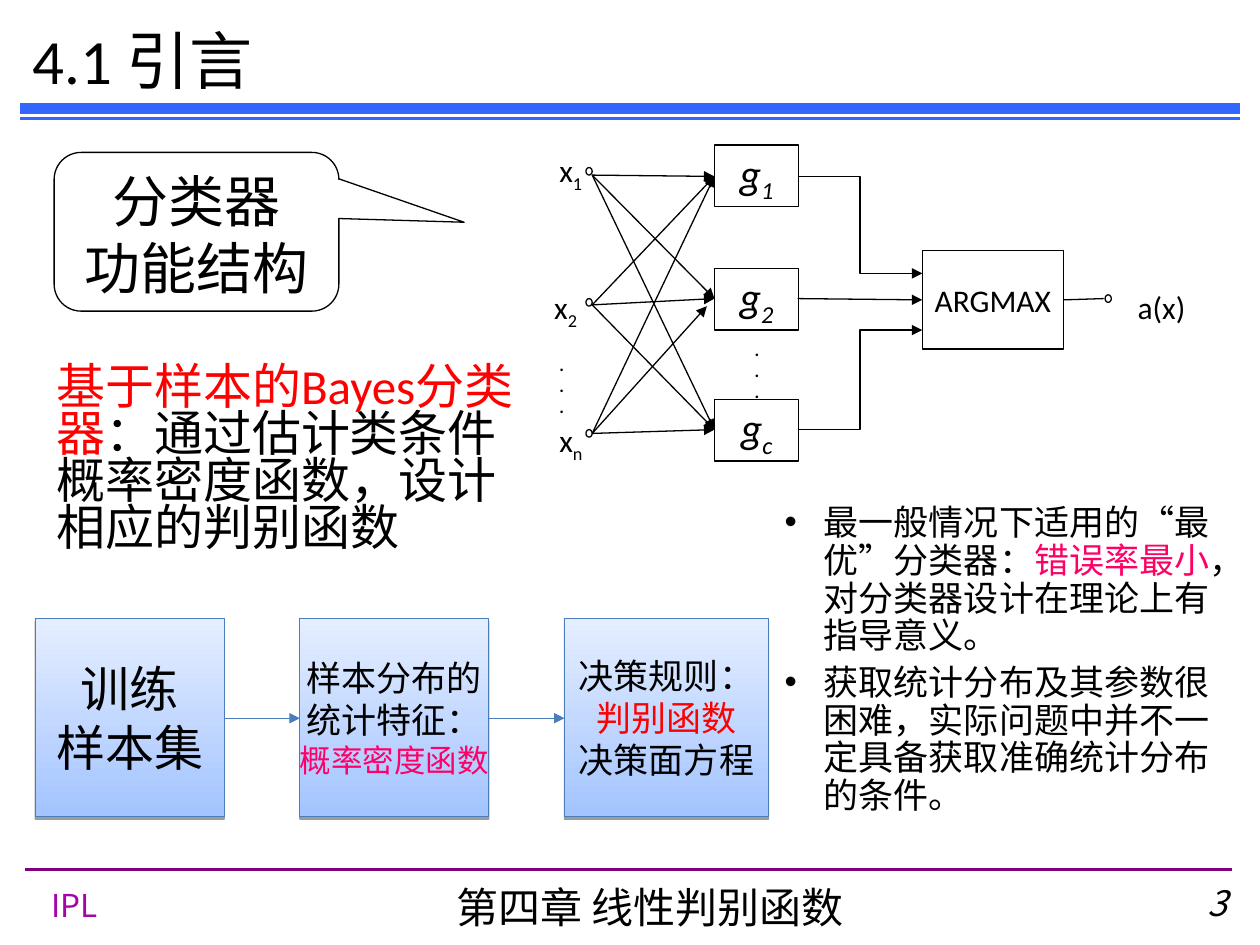
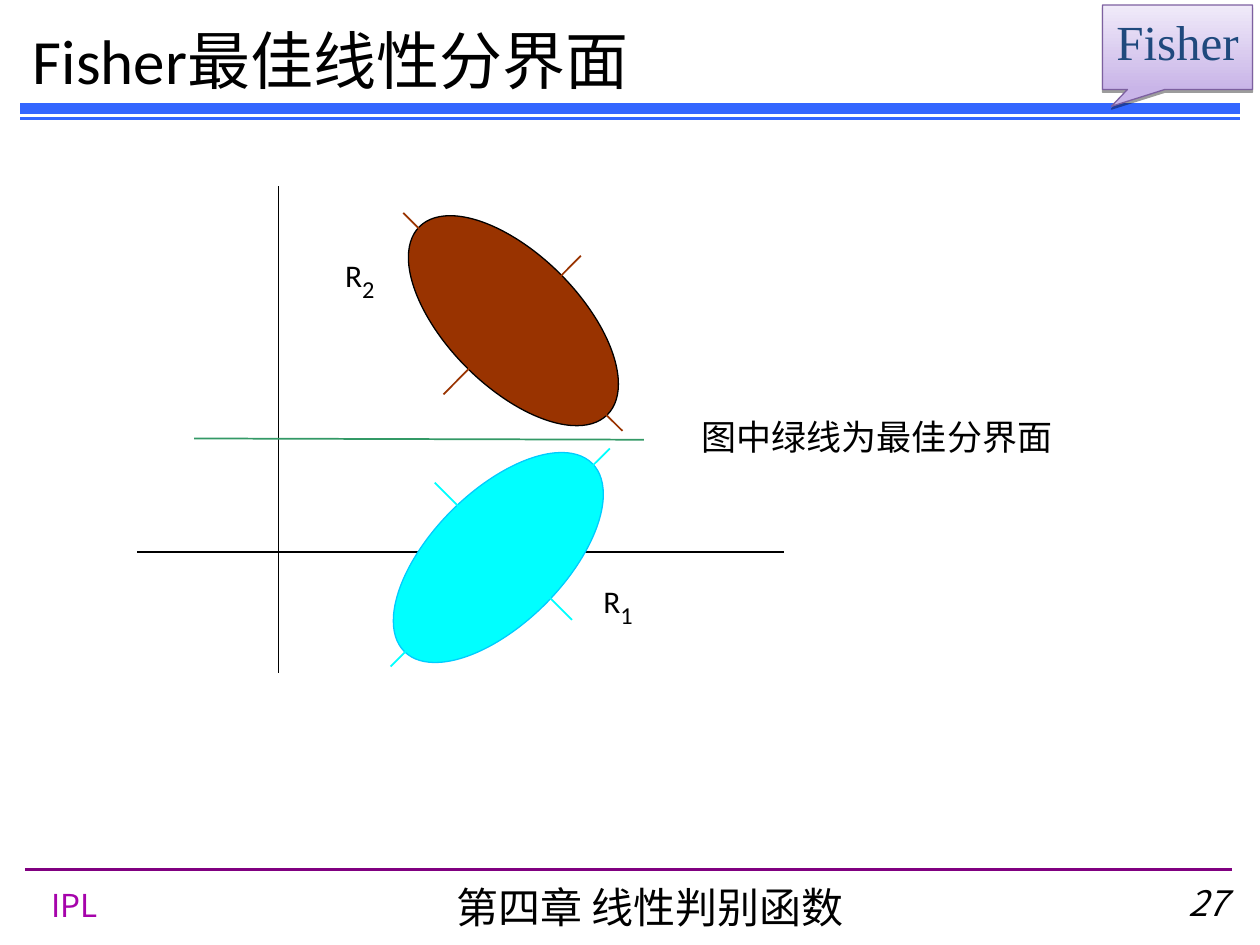
from lxml import etree
from pptx import Presentation
from pptx.dml.color import RGBColor
from pptx.enum.shapes import MSO_CONNECTOR, MSO_SHAPE
from pptx.enum.text import MSO_ANCHOR, MSO_AUTO_SIZE, PP_ALIGN
from pptx.oxml.ns import qn
from pptx.util import Emu, Pt

PX = 9144
SLIDE_W, SLIDE_H = 1000, 750
TITLE_ONLY = 5

BLACK = RGBColor(0x00, 0x00, 0x00)
RED = RGBColor(0xFF, 0x00, 0x00)
PINK = RGBColor(0xFF, 0x00, 0x66)
BAND_BLUE = RGBColor(0x33, 0x66, 0xFF)
FOOTER_PURPLE = RGBColor(0x80, 0x00, 0x80)
LAB_PURPLE = RGBColor(0xA6, 0x03, 0xAB)
STEP_LINE = RGBColor(0x4A, 0x7E, 0xBB)
STEP_FILL = (RGBColor(0xA3, 0xC4, 0xFF), RGBColor(0xE5, 0xEE, 0xFF))
TAG_LINE = RGBColor(0x7D, 0x60, 0xA0)
TAG_FILL = (RGBColor(0xC9, 0xB5, 0xE8), RGBColor(0xF0, 0xEA, 0xF9))
NAVY = RGBColor(0x1F, 0x49, 0x7D)
CYAN = RGBColor(0x00, 0xFF, 0xFF)
CYAN_EDGE = RGBColor(0x00, 0xCC, 0xFF)
BROWN = RGBColor(0x99, 0x33, 0x00)
GREEN = RGBColor(0x33, 0x99, 0x66)

BODY_FONT = "Calibri"
FOOTER_FONT = "Noto Sans CJK SC"
QUOTE_FONT = "Arial"
TAG_FONT = "Times New Roman"

LEFT, CENTER, RIGHT = PP_ALIGN.LEFT, PP_ALIGN.CENTER, PP_ALIGN.RIGHT
TOP, MIDDLE = MSO_ANCHOR.TOP, MSO_ANCHOR.MIDDLE
STRAIGHT, ELBOW = MSO_CONNECTOR.STRAIGHT, MSO_CONNECTOR.ELBOW
RECT, OVAL = MSO_SHAPE.RECTANGLE, MSO_SHAPE.OVAL
ROUND_CALLOUT = MSO_SHAPE.ROUNDED_RECTANGULAR_CALLOUT
RECT_CALLOUT = MSO_SHAPE.RECTANGULAR_CALLOUT
NO_AUTOFIT = MSO_AUTO_SIZE.NONE


def px(*lengths):
    return [Emu(n * PX) for n in lengths]


def format_run(r, size, color=BLACK, font=BODY_FONT, bold=False, italic=False, sub=False):
    r.font.size = Pt(size)
    r.font.name = font
    r.font.bold = bold
    r.font.italic = italic
    r.font.color.rgb = color
    if sub:
        r._r.get_or_add_rPr().set("baseline", "-25000")


def write(tf, paragraphs, align=LEFT, anchor=TOP, wrap=True, **style):
    tf.auto_size = NO_AUTOFIT
    tf.word_wrap = wrap
    tf.vertical_anchor = anchor
    for i, pieces in enumerate(paragraphs):
        p = tf.add_paragraph() if i else tf.paragraphs[0]
        p.alignment = align
        for text, extra in pieces:
            for j, line in enumerate(text.split("\n")):
                if j:
                    p.add_line_break()
                if line:
                    r = p.add_run()
                    r.text = line
                    format_run(r, **{**style, **extra})


def plain(text):
    return [[(text, {})]]


def subscripted(letter, index, **extra):
    return [[(letter, {}), (index, {"sub": True, **extra})]]


def add_text(slide, box, paragraphs, **style):
    sp = slide.shapes.add_textbox(*px(*box))
    write(sp.text_frame, paragraphs, **style)
    return sp.text_frame


def add_title(slide, text, width):
    sp = slide.shapes.title
    sp.left, sp.top, sp.width, sp.height = px(16, 16, width, 62)
    write(sp.text_frame, plain(text), anchor=MIDDLE, size=36)


def add_line(slide, start, end, color=BLACK, width=0.75, arrow=False, kind=STRAIGHT):
    c = slide.shapes.add_connector(kind, *px(*start, *end))
    c.line.color.rgb = color
    c.line.width = Pt(width)
    if arrow:
        etree.SubElement(c.line._get_or_add_ln(), qn("a:tailEnd"), type="triangle")
    etree.SubElement(c._element.spPr, qn("a:effectLst"))


def add_shape(slide, kind, box, line=BLACK, fill=None, adjustments=(), rotation=0):
    sp = slide.shapes.add_shape(kind, *px(*box))
    sp.shadow.inherit = False
    sp.line.color.rgb = line
    sp.line.width = Pt(0.75)
    sp.rotation = rotation
    for i, value in enumerate(adjustments):
        sp.adjustments[i] = value
    if fill is None:
        sp.fill.background()
    else:
        sp.fill.solid()
        sp.fill.fore_color.rgb = fill
    return sp


def add_glossy(slide, kind, box, line, colors, adjustments=()):
    sp = add_shape(slide, kind, box, line, adjustments=adjustments)
    sp.fill.gradient()
    sp.fill.gradient_angle = 90
    for stop, color in zip(sp.fill.gradient_stops, colors):
        stop.color.rgb = color
    effects = sp._element.spPr.find(qn("a:effectLst"))
    shadow = etree.SubElement(effects, qn("a:outerShdw"), blurRad="0",
                              dist=str(Pt(1.6)), dir="5400000", rotWithShape="0")
    black = etree.SubElement(shadow, qn("a:srgbClr"), val="000000")
    etree.SubElement(black, qn("a:alpha"), val="38000")
    return sp


def add_bullets(slide, box, paragraphs, size):
    tf = add_text(slide, box, paragraphs, size=size)
    for p in tf.paragraphs:
        p.line_spacing = 0.9
        p.space_before = Pt(5)
        pPr = p._p.get_or_add_pPr()
        pPr.set("marL", str(81 * PX))
        pPr.set("indent", str(-31 * PX))
        etree.SubElement(pPr, qn("a:buFont"), typeface=QUOTE_FONT)
        etree.SubElement(pPr, qn("a:buChar"), char="•")


def add_base(prs, title, title_width, number):
    slide = prs.slides.add_slide(prs.slide_layouts[TITLE_ONLY])
    add_text(slide, (31, 698, 55, 39), plain("IPL"), wrap=False,
             size=18, color=LAB_PURPLE, font=FOOTER_FONT)
    add_line(slide, (20, 690), (978, 690), FOOTER_PURPLE, 1.5)
    for y, width in ((94, 2), (86, 6)):
        add_line(slide, (16, y), (984, y), BAND_BLUE, width)
    add_text(slide, (344, 695, 344, 50), plain("第四章 线性判别函数"), align=CENTER,
             size=24, font=FOOTER_FONT)
    add_text(slide, (898, 695, 86, 51), plain(number), align=RIGHT,
             size=20, font=FOOTER_FONT, italic=True)
    add_title(slide, title, title_width)
    return slide


def add_steps(slide):
    top, height, gap = 491, 157, 60
    steps = [
        (150, 28, [("训练\n样本集", {})]),
        (150, 20, [("样本分布的\n统计特征：\n", {}),
                   ("概率密度函数", {"size": 18, "color": PINK})]),
        (162, 20, [("决策规则：\n", {}), ("判别函数\n", {"color": RED}), ("决策面方程", {})]),
    ]
    x = 28
    for i, (width, size, pieces) in enumerate(steps):
        sp = add_glossy(slide, RECT, (x, top, width, height), STEP_LINE, STEP_FILL)
        write(sp.text_frame, [pieces], align=CENTER, anchor=MIDDLE, wrap=False, size=size)
        if i:
            add_line(slide, (x - gap, 570), (x, 570), STEP_LINE, arrow=True)
        x += width + gap


def add_label_box(slide, box, paragraphs, **style):
    sp = add_shape(slide, RECT, box)
    write(sp.text_frame, paragraphs, align=CENTER, anchor=MIDDLE, wrap=False, **style)


def add_port(slide, x, y):
    add_shape(slide, OVAL, (x, y, 5, 6))


def add_dots(slide, x, y):
    add_text(slide, (x, y, 25, 60), plain(".") * 3, size=10, bold=True)


def add_network(slide):
    add_label_box(slide, (732, 199, 112, 78), plain("ARGMAX"), size=18)
    add_dots(slide, 589, 264)
    for index, y in (("1", 115), ("2", 213), ("c", 317)):
        add_label_box(slide, (567, y, 67, 49), subscripted("g", index), size=24, italic=True)

    add_line(slide, (633, 140), (732, 217), arrow=True, kind=ELBOW)
    add_line(slide, (633, 341), (732, 262), arrow=True, kind=ELBOW)
    add_line(slide, (633, 237), (732, 238), arrow=True)
    add_line(slide, (844, 238), (876, 237))
    add_port(slide, 877, 234)
    add_text(slide, (893, 224, 58, 40), plain("a(x)"), wrap=False, size=18)

    add_dots(slide, 434, 276)
    g1, g2, gc = (567, 140), (567, 237), (567, 341)
    inputs = [
        ("1", 434, 115, 133, 139, (g1, g2, gc)),
        ("2", 430, 224, 237, 242, (g1, g2, gc)),
        ("n", 434, 329, 341, 344, (g1, (561, 243), gc)),
    ]
    for index, label_x, label_y, port_y, source_y, targets in inputs:
        add_port(slide, 465, port_y)
        for target in targets:
            add_line(slide, (470, source_y), target, arrow=True)
        add_text(slide, (label_x, label_y, 38, 44), subscripted("x", index),
                 wrap=False, size=18)


def build_introduction(prs):
    slide = add_base(prs, "4.1 引言", 391, "3")
    tf = add_text(slide, (35, 286, 394, 173), [[
        ("基于样本的Bayes分类器", {"color": RED}),
        ("：通过估计类条件概率密度函数，设计相应的判别函数", {}),
    ]], size=28)
    tf.paragraphs[0].line_spacing = 0.8
    tf.paragraphs[0].space_before = Pt(7)
    add_bullets(slide, (563, 396, 417, 268), [
        [("最一般情况下适用的", {}), ("“", {"font": QUOTE_FONT}), ("最优", {}),
         ("”", {"font": QUOTE_FONT}), ("分类器：", {}), ("错误率最小", {"color": PINK}),
         ("，对分类器设计在理论上有指导意义。", {})],
        [("获取统计分布及其参数很困难，实际问题中并不一定具备获取准确统计分布的条件。", {})],
    ], size=20)
    add_steps(slide)
    callout = add_shape(slide, ROUND_CALLOUT, (43, 121, 226, 126),
                        adjustments=(0.94, -0.06, 0.17))
    write(callout.text_frame, plain("分类器\n功能结构"), align=CENTER, size=32)
    add_network(slide)


def build_fisher(prs):
    slide = add_base(prs, "Fisher最佳线性分界面", 633, "27")
    tag = add_glossy(slide, RECT_CALLOUT, (875, 4, 119, 67), TAG_LINE, TAG_FILL, (-0.44, 0.7))
    write(tag.text_frame, plain("Fisher"), align=CENTER, size=28, color=NAVY, font=TAG_FONT)

    add_line(slide, (109, 438), (622, 438))
    add_line(slide, (221, 148), (221, 534))
    add_shape(slide, OVAL, (290, 390, 211, 105), CYAN_EDGE, CYAN, rotation=315)
    add_shape(slide, OVAL, (302, 202, 211, 105), BLACK, BROWN, rotation=225)
    for start, end, color in (
        ((454, 492), (345, 383), CYAN),
        ((310, 529), (484, 356), CYAN),
        ((461, 203), (352, 313), BROWN),
        ((494, 342), (320, 169), BROWN),
        ((154, 348), (511, 349), GREEN),
    ):
        add_line(slide, start, end, color, 1)
    for index, x, y in (("1", 469, 449), ("2", 264, 190)):
        add_text(slide, (x, y, 65, 56), subscripted("R", index, size=24), size=18)
    add_text(slide, (547, 325, 299, 44), plain("图中绿线为最佳分界面"), size=20)


def main():
    prs = Presentation()
    prs.slide_width, prs.slide_height = px(SLIDE_W, SLIDE_H)
    build_introduction(prs)
    build_fisher(prs)
    prs.save("out.pptx")


if __name__ == "__main__":
    main()
